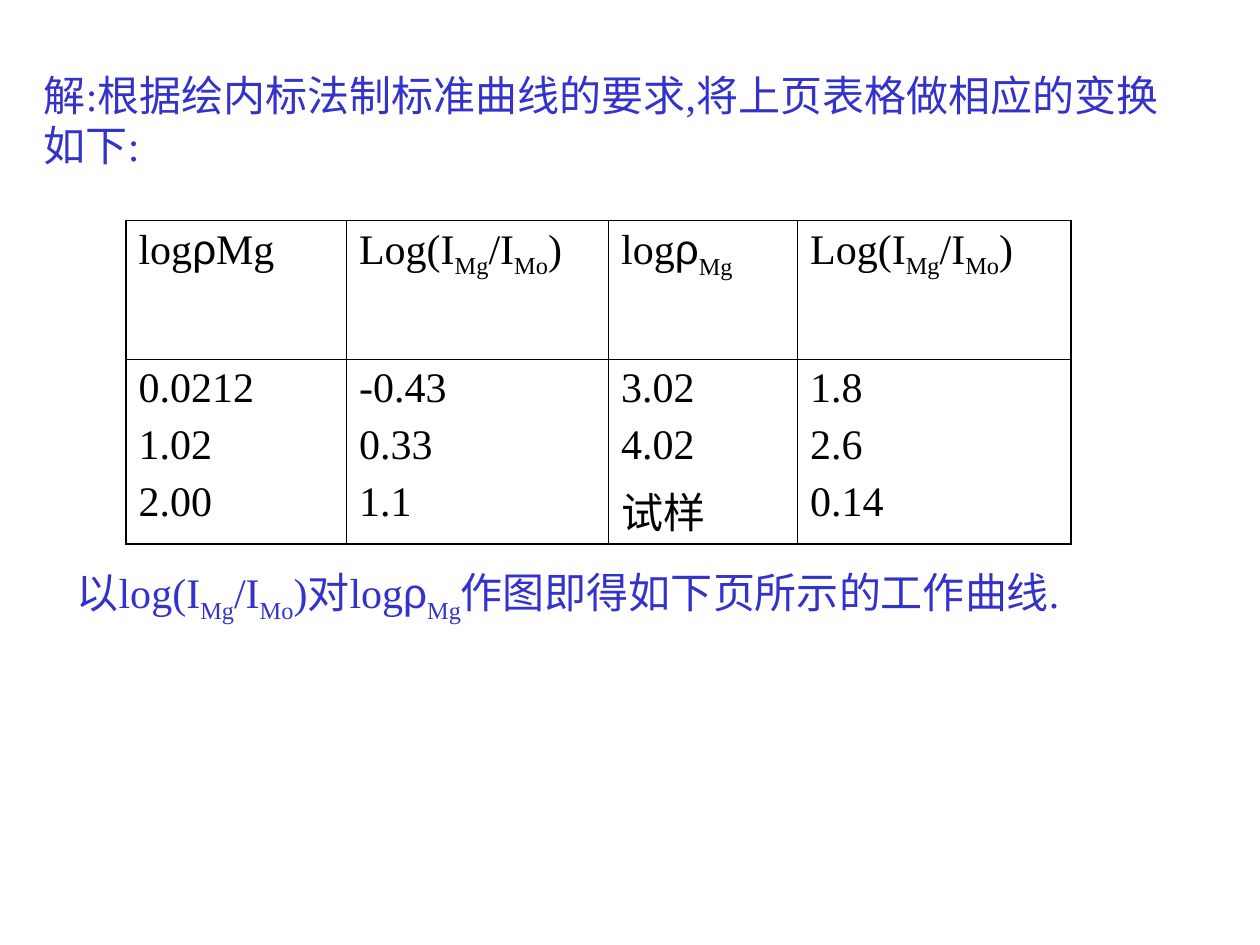
import pptx
import pptx.util
import pptx.dml.color
from lxml import etree
from pptx.oxml.ns import qn
from pptx.util import Inches, Pt

BLUE = pptx.dml.color.RGBColor(0x33, 0x33, 0xCC)
BLACK = pptx.dml.color.RGBColor(0, 0, 0)
FONT, GREEK = "Times New Roman", "Arial"

# Content: each line is a list of runs; "_" marks a subscript
RATIO = ["(I", "_Mg", "/I", "_Mo", ")"]
INTRO = ["解:根据绘内标法制标准曲线的要求,将上页表格做相应的变换如下:"]
CLOSE = ["以log", *RATIO, "对log", "ρ", "_Mg", "作图即得如下页所示的工作曲线."]
HEAD = [["log", "ρ", "Mg"], ["Log", *RATIO], ["log", "ρ", "_Mg"], ["Log", *RATIO]]
DATA = [
    ["0.0212", "1.02", "2.00"],
    ["-0.43", "0.33", "1.1"],
    ["3.02", "4.02", "试样"],
    ["1.8", "2.6", "0.14"],
]
COLS = [1.75, 2.08, 1.5, 2.17]
ROWS = [1.1, 1.47]
THIN, THICK = 0.45, 1.08


def write(frame, lines, color):
    for i, line in enumerate(lines):
        para = frame.add_paragraph() if i else frame.paragraphs[0]
        if i:
            para.space_before = Pt(6)
        para.font.size = Pt(24)
        para.font.name = FONT
        para.font.color.rgb = color
        for part in line:
            run = para.add_run()
            run.text = part.removeprefix("_")
            if part.startswith("_"):
                run.font._element.set("baseline", "-25000")
            if part == "ρ":
                run.font.name = GREEK


def add_text(slide, box, line):
    frame = slide.shapes.add_textbox(*map(Inches, box)).text_frame
    frame.word_wrap = True
    write(frame, [line], BLUE)


def edge(cell, side, width):
    line = etree.SubElement(cell._tc.get_or_add_tcPr(), qn("a:ln" + side),
                            w=str(int(Pt(width))))
    fill = etree.SubElement(line, qn("a:solidFill"))
    etree.SubElement(fill, qn("a:srgbClr"), val=str(BLACK))


deck = pptx.Presentation()
deck.slide_width, deck.slide_height = Inches(10), Inches(7.5)
slide = deck.slides.add_slide(deck.slide_layouts[6])

# Opening sentence
add_text(slide, (0.25, 0.5, 9.08, 0.9), INTRO)

# Table with a thicker outer frame
table = slide.shapes.add_table(
    len(ROWS), len(COLS), Inches(1), Inches(1.75),
    Inches(sum(COLS)), Inches(sum(ROWS))).table
table.first_row = table.horz_banding = False
for col, width in zip(table.columns, COLS):
    col.width = Inches(width)
for row, height in zip(table.rows, ROWS):
    row.height = Inches(height)

for c in range(len(COLS)):
    texts = [[HEAD[c]], [[value] for value in DATA[c]]]
    for r, lines in enumerate(texts):
        cell = table.cell(r, c)
        write(cell.text_frame, lines, BLACK)
        outer = {"L": c == 0, "R": c == len(COLS) - 1,
                 "T": r == 0, "B": r == len(ROWS) - 1}
        for side, rim in outer.items():
            edge(cell, side, THICK if rim else THIN)
        cell.fill.background()

# Closing sentence
add_text(slide, (0.51, 4.45, 8.3, 0.95), CLOSE)

deck.save("out.pptx")
